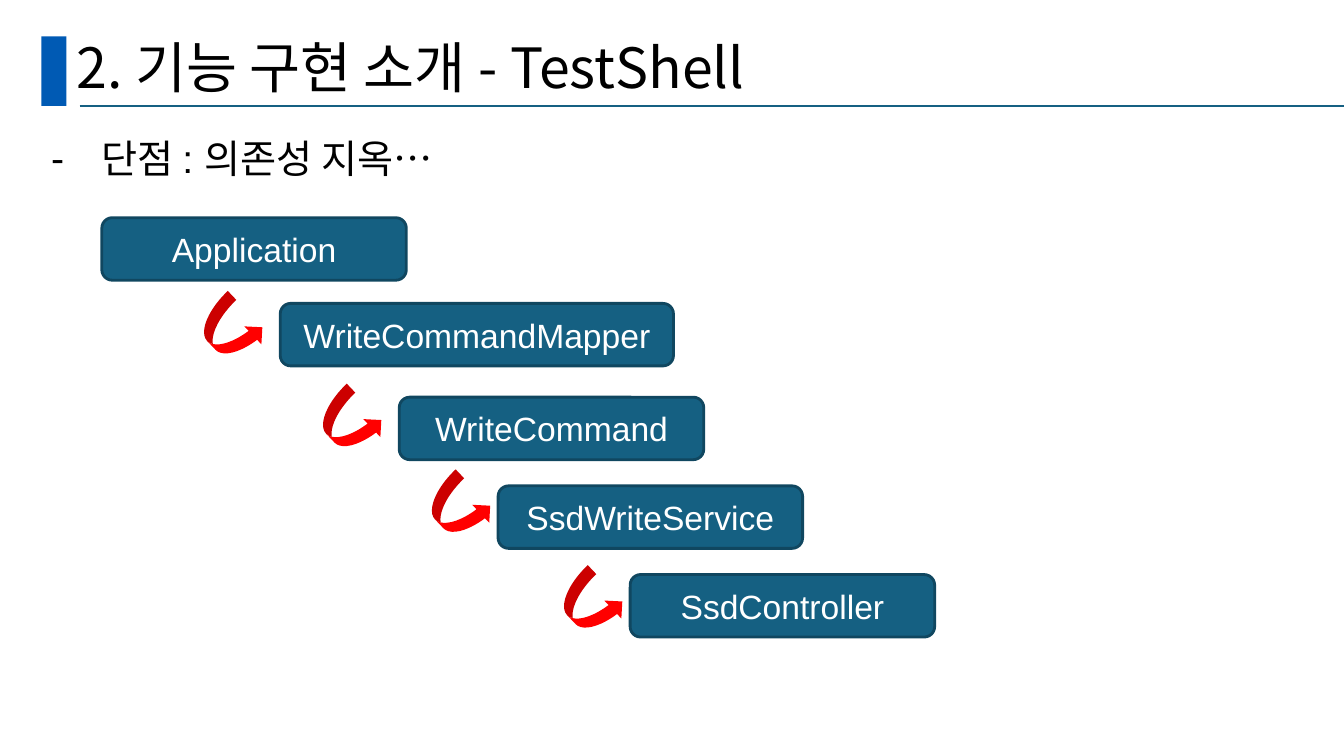
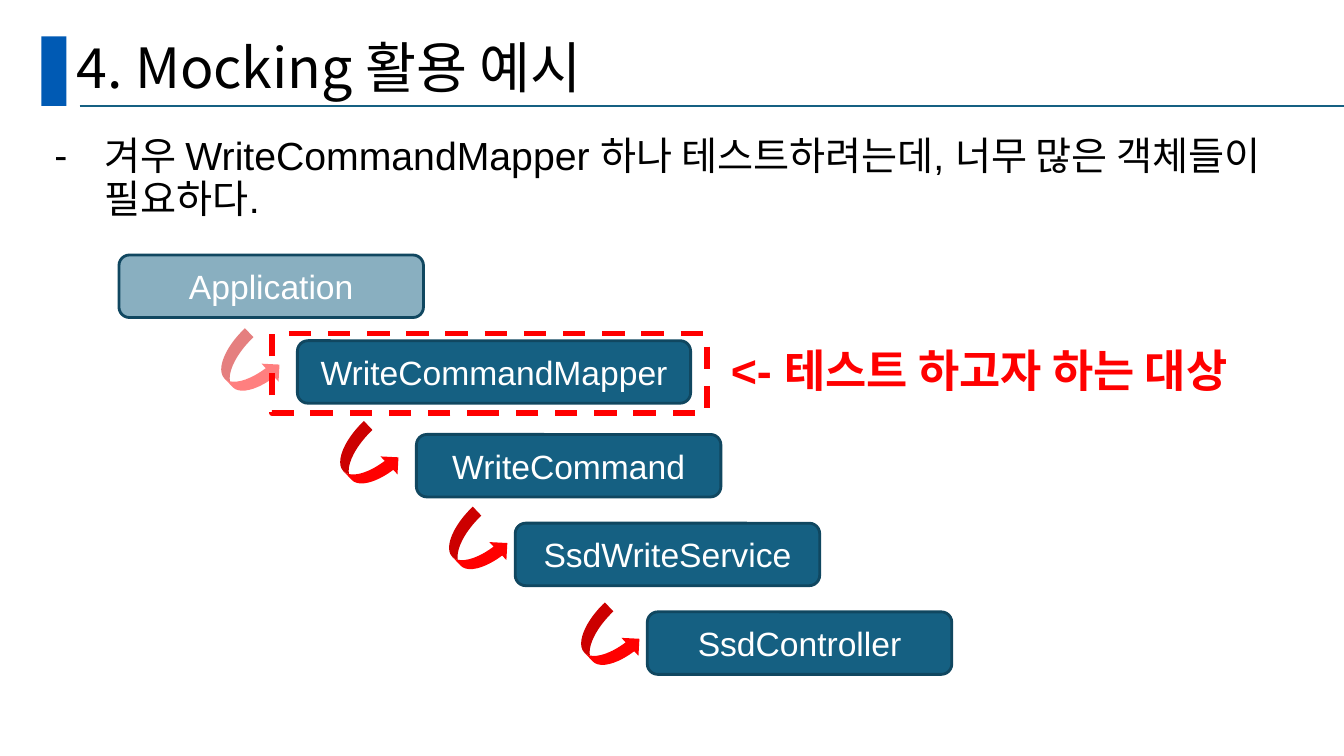
from dataclasses import dataclass

from lxml import etree
from pptx import Presentation
from pptx.dml.color import RGBColor
from pptx.enum.dml import MSO_LINE
from pptx.enum.shapes import MSO_CONNECTOR as Connector, MSO_SHAPE as Preset
from pptx.enum.text import MSO_ANCHOR as Anchor, PP_ALIGN as Align
from pptx.oxml.ns import qn
from pptx.util import Inches, Pt


@dataclass(frozen=True)
class Theme:
    black: RGBColor = RGBColor.from_string("000000")
    white: RGBColor = RGBColor.from_string("FFFFFF")
    band: RGBColor = RGBColor.from_string("005AB4")
    box: RGBColor = RGBColor.from_string("156082")
    box_edge: RGBColor = RGBColor.from_string("104760")
    red: RGBColor = RGBColor.from_string("FF0000")
    korean_font: str = "Noto Sans CJK KR"
    body_font: str = "Arial"
    title_size: float = 39.6
    note_size: int = 32
    body_size: int = 28
    box_size: int = 24


theme = Theme()


def add_text(shape, text, size, color, font=theme.body_font, bold=None):
    """Write one run into the shape's first paragraph and return the paragraph."""
    shape.text_frame.word_wrap = True
    paragraph = shape.text_frame.paragraphs[0]
    run = paragraph.add_run()
    run.text = text
    run.font.name = font
    run.font.size = Pt(size)
    run.font.bold = bold
    run.font.color.rgb = color
    east_asian = etree.SubElement(run.font._element, qn("a:ea"))
    east_asian.set("typeface", theme.korean_font)
    return paragraph


def add_filled_shape(slide, preset, left, top, width, height, color, opacity=100):
    """Add a shape with a plain fill, no outline and no shadow; opacity is in percent."""
    shape = slide.shapes.add_shape(
        preset, Inches(left), Inches(top), Inches(width), Inches(height))
    shape.shadow.inherit = False
    shape.fill.solid()
    shape.fill.fore_color.rgb = color
    shape.line.fill.background()
    if opacity < 100:
        color_element = shape._element.spPr.find(".//" + qn("a:srgbClr"))
        etree.SubElement(color_element, qn("a:alpha")).set("val", str(opacity * 1000))
    return shape


# Call chain: name, left, top, width
boxes = [
    ("Application", 1.01, 2.16, 3.02),
    ("WriteCommandMapper", 2.78, 3.01, 3.9),
    ("WriteCommand", 3.96, 3.94, 3.02),
    ("SsdWriteService", 4.94, 4.82, 3.02),
    ("SsdController", 6.25, 5.7, 3.02),
]
arrows = [(2.05, 2.97), (3.23, 3.89), (4.31, 4.74), (5.62, 5.69)]

# Title, bullet, bullet place (left, top, height), chain shift, opacity of the first step
pages = [
    ("2. 기능 구현 소개 - TestShell", "단점 : 의존성 지옥…",
     (0.22, 1.34, 0.53), (0, 0), 100),
    ("4. Mocking 활용 예시",
     "겨우 WriteCommandMapper 하나 테스트하려는데, 너무 많은 객체들이 필요하다.",
     (0.25, 1.31, 0.95), (0.17, 0.37), 50),
]

presentation = Presentation()
presentation.slide_width = Inches(13.33)
presentation.slide_height = Inches(7.5)

for title, bullet, (bullet_left, bullet_top, bullet_height), (dx, dy), first_opacity in pages:
    slide = presentation.slides.add_slide(presentation.slide_layouts[6])

    # Title band
    add_filled_shape(slide, Preset.RECTANGLE, 0.41, 0.36, 0.25, 0.69, theme.band)
    rule = slide.shapes.add_connector(
        Connector.STRAIGHT, Inches(0.79), Inches(1.05), Inches(13.33), Inches(1.05))
    rule.line.color.rgb = theme.box
    rule.line.width = Pt(1.5)
    etree.SubElement(rule._element.spPr, qn("a:effectLst"))
    title_box = slide.shapes.add_textbox(
        Inches(0.66), Inches(0.34), Inches(11.5), Inches(0.71))
    title_box.text_frame.vertical_anchor = Anchor.MIDDLE
    paragraph = add_text(
        title_box, title, theme.title_size, theme.black, theme.korean_font)
    paragraph.line_spacing = 0.9

    # Bullet with a hanging dash
    bullet_box = slide.shapes.add_textbox(
        Inches(bullet_left), Inches(bullet_top), Inches(12.84), Inches(bullet_height))
    paragraph = add_text(bullet_box, bullet, theme.body_size, theme.black)
    paragraph.line_spacing = 0.9
    properties = paragraph._element.get_or_add_pPr()
    properties.set("marL", str(Inches(0.69)))
    properties.set("indent", str(Inches(-0.5)))
    etree.SubElement(properties, qn("a:buFont")).set("typeface", theme.body_font)
    etree.SubElement(properties, qn("a:buChar")).set("char", "-")

    # Call chain
    for index, (name, left, top, width) in enumerate(boxes):
        box = add_filled_shape(
            slide, Preset.ROUNDED_RECTANGLE, left + dx, top + dy, width, 0.62,
            theme.box, first_opacity if index == 0 else 100)
        box.line.color.rgb = theme.box_edge
        box.line.width = Pt(2)
        box.text_frame.vertical_anchor = Anchor.MIDDLE
        add_text(box, name, theme.box_size, theme.white).alignment = Align.CENTER
    for index, (left, top) in enumerate(arrows):
        arrow = add_filled_shape(
            slide, Preset.CURVED_RIGHT_ARROW, left + dx, top + dy, 0.49, 0.62,
            theme.red, first_opacity if index == 0 else 100)
        arrow.rotation = 316.5

# Test target, marked on the last slide
target_frame = add_filled_shape(
    slide, Preset.RECTANGLE, 2.7, 3.31, 4.31, 0.79, theme.white)
target_frame.fill.background()
target_frame.line.color.rgb = theme.red
target_frame.line.width = Pt(4)
target_frame.line.dash_style = MSO_LINE.DASH
target_note = slide.shapes.add_textbox(
    Inches(7.15), Inches(3.35), Inches(5.93), Inches(0.64))
add_text(target_note, "<- 테스트 하고자 하는 대상", theme.note_size, theme.red, bold=True)

presentation.save("out.pptx")
